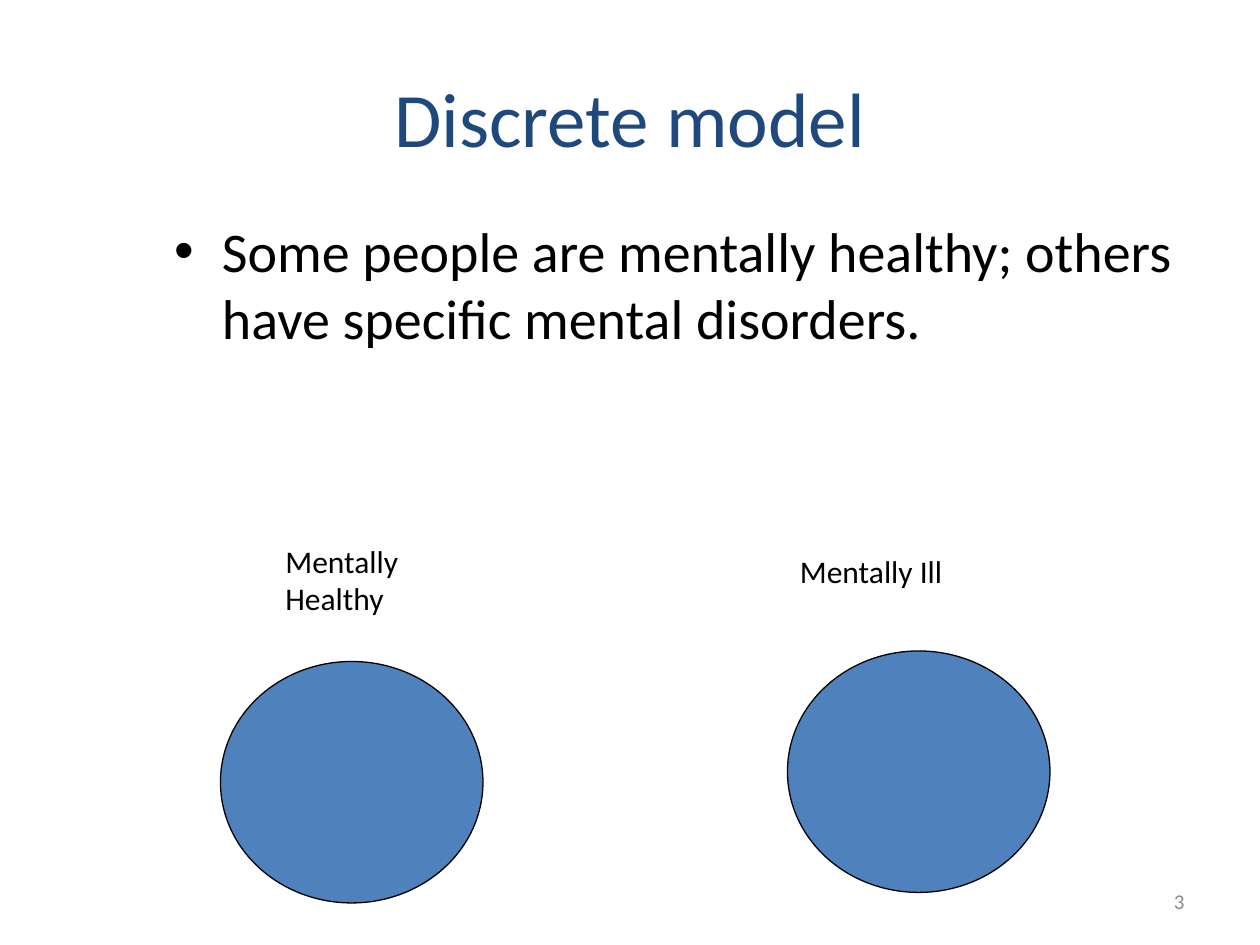
from pptx import Presentation
from pptx import util as u
from pptx.dml.color import RGBColor
from pptx.enum import shapes, text
from pptx.oxml.ns import qn
from lxml import etree

NAVY = RGBColor(0x1F, 0x49, 0x7D)
BLUE = RGBColor(0x4F, 0x81, 0xBD)
BLACK = RGBColor(0, 0, 0)
GRAY = RGBColor(0x8C, 0x8C, 0x8C)
LEFT, MID, RIGHT = text.PP_ALIGN.LEFT, text.PP_ALIGN.CENTER, text.PP_ALIGN.RIGHT
TOP, CENTER = text.MSO_ANCHOR.TOP, text.MSO_ANCHOR.MIDDLE

deck = Presentation()
deck.slide_width, deck.slide_height = u.Inches(10), u.Inches(7.5)
slide = deck.slides.add_slide(deck.slide_layouts[6])
COL, ROW = deck.slide_width / 120, deck.slide_height / 90


def grid(x, y, w, h):
    return [round(n) for n in (x * COL, y * ROW, w * COL, h * ROW)]


def write(words, area, size=18, color=BLACK, align=LEFT, anchor=TOP, bullet=False):
    frame = slide.shapes.add_textbox(*grid(*area)).text_frame
    frame.word_wrap = True
    frame.vertical_anchor = anchor
    para = frame.paragraphs[0]
    para.alignment = align
    if bullet:
        props = para._p.get_or_add_pPr()
        props.set("marL", str(u.Inches(0.38)))
        props.set("indent", str(-u.Inches(0.38)))
        etree.SubElement(props, qn("a:buFont")).set("typeface", "Arial")
        etree.SubElement(props, qn("a:buChar")).set("char", "•")
    run = para.add_run()
    run.text = words
    run.font.name = "Calibri"
    run.font.size = u.Pt(size)
    run.font.color.rgb = color


write("3", (86, 83.4, 28, 4.8), size=12, color=GRAY, align=RIGHT, anchor=CENTER)
write("Discrete model", (6, 3.6, 108, 15), size=44, color=NAVY, align=MID, anchor=CENTER)
write("Some people are mentally healthy; others have specific mental disorders.",
      (15.4, 20, 102, 59.5), size=32, bullet=True)

for x, y in ((21, 63), (75, 62)):
    oval = slide.shapes.add_shape(shapes.MSO_SHAPE.OVAL, *grid(x, y, 25, 23))
    oval.shadow.inherit = False
    oval.fill.solid()
    oval.fill.fore_color.rgb = BLUE
    oval.line.color.rgb = BLACK
    oval.line.width = u.Pt(0.75)

write("Mentally Healthy", (26, 51, 21, 10.8))
write("Mentally Ill", (75, 52, 22, 6))

deck.save("out.pptx")
